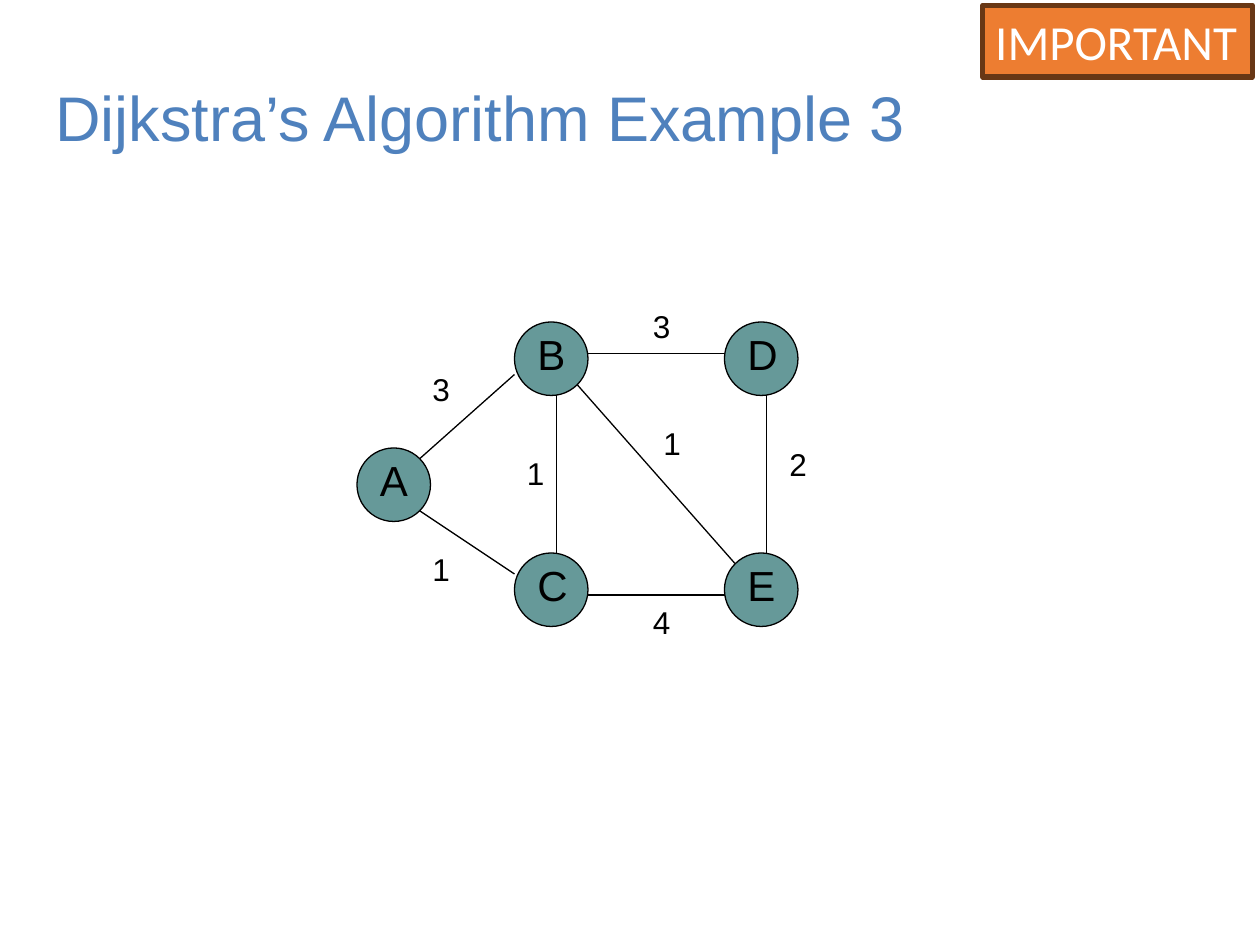
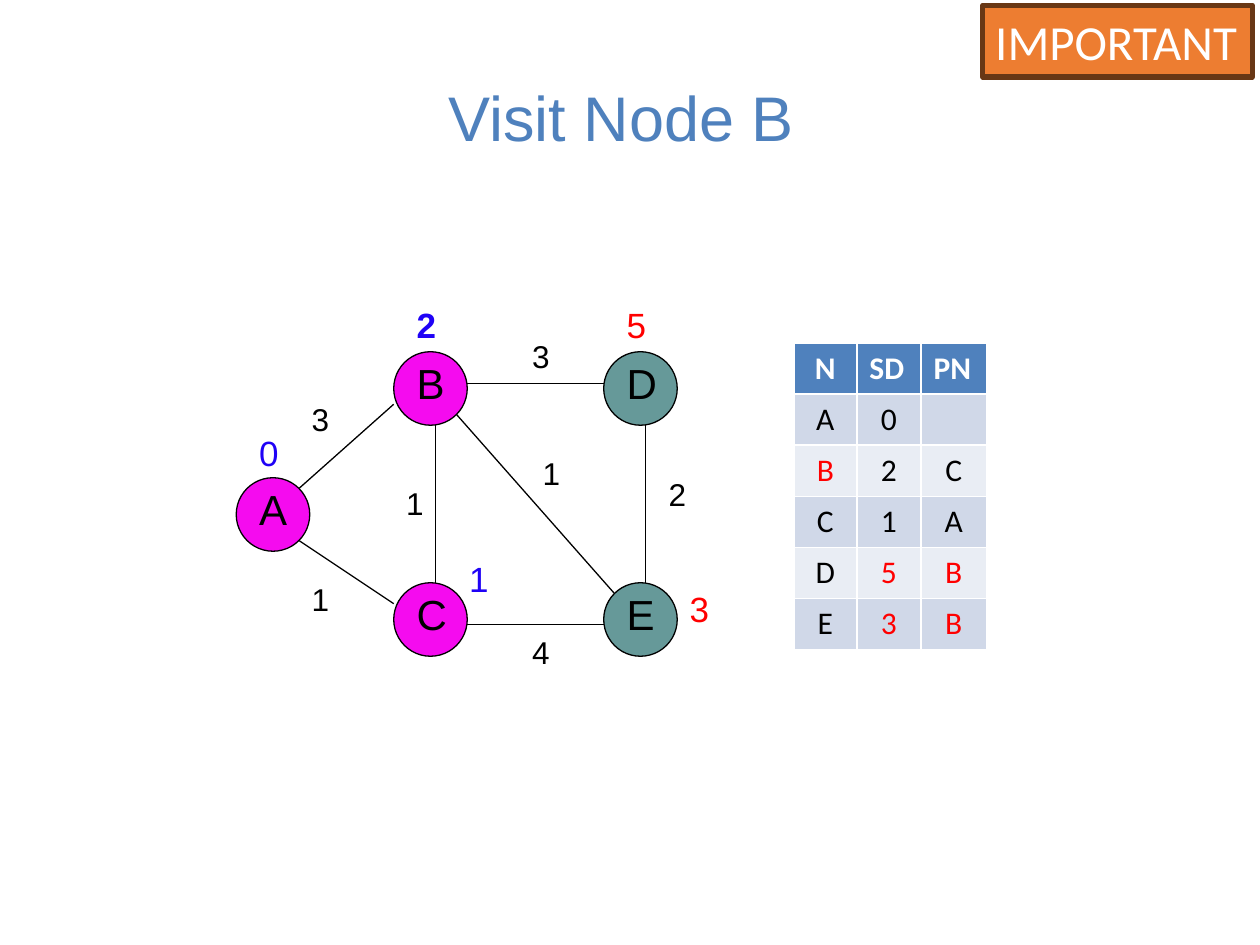
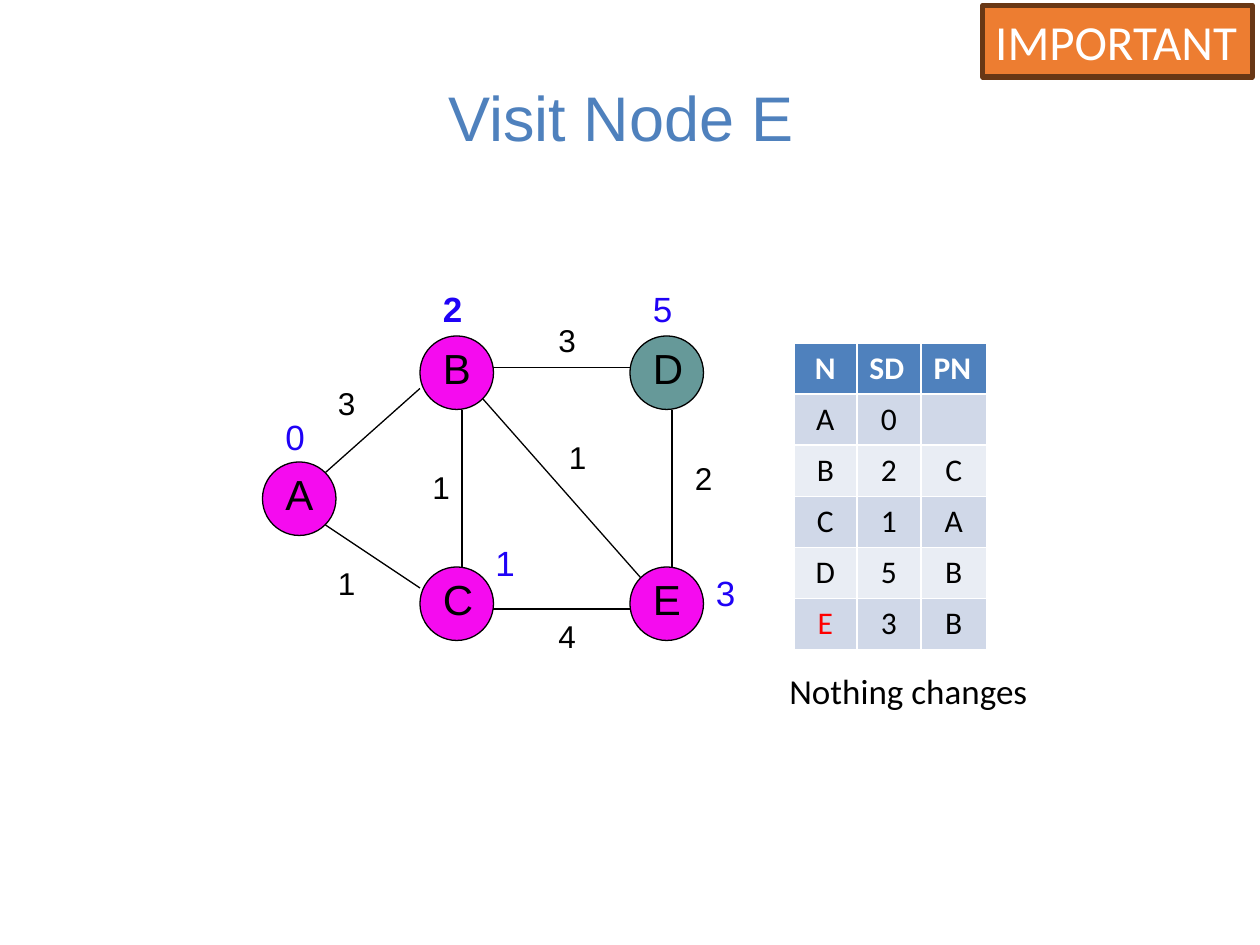
"""Build three slides that walk through a shortest-path example."""
from dataclasses import dataclass

from lxml import etree
from pptx import Presentation
from pptx.dml.color import RGBColor
from pptx.enum.shapes import MSO_CONNECTOR, MSO_SHAPE
from pptx.enum.text import MSO_ANCHOR, PP_ALIGN
from pptx.oxml.ns import qn
from pptx.util import Pt

LEFT, CENTER = PP_ALIGN.LEFT, PP_ALIGN.CENTER
TOP, MIDDLE = MSO_ANCHOR.TOP, MSO_ANCHOR.MIDDLE
OVAL, RECTANGLE = MSO_SHAPE.OVAL, MSO_SHAPE.RECTANGLE
STRAIGHT = MSO_CONNECTOR.STRAIGHT


@dataclass(frozen=True)
class Theme:
    """Colours, fonts and type sizes that the slides share."""

    ink: str = "000000"
    white: str = "FFFFFF"
    heading: str = "4F81BD"
    unvisited: str = "669999"
    visited: str = "F50BEF"
    settled: str = "1F02F6"
    changed: str = "FF0000"
    badge: str = "ED7D31"
    badge_edge: str = "683715"
    bands: tuple = ("D0D8E8", "E9EDF4")
    graph_font: str = "Arial"
    body_font: str = "Calibri"
    title_size: int = 36
    badge_size: int = 28
    node_size: int = 24
    distance_size: int = 20
    label_size: int = 18


THEME = Theme()
NODE_DIAMETER = 42
LABEL_WIDTH = 42
NODES = {"A": (0, 72), "B": (90, 0), "C": (90, 132), "E": (210, 132), "D": (210, 0)}
EDGES = [
    ((36, 78), (90, 30)),
    ((36, 108), (90, 144)),
    ((132, 156), (210, 156)),
    ((234, 132), (234, 42)),
    ((114, 132), (114, 42)),
    ((132, 18), (210, 18)),
    ((126, 36), (216, 138)),
]
WEIGHTS = [
    ("1", 36, 127), ("1", 90, 72), ("3", 36, 24), ("3", 162, -12),
    ("2", 240, 67), ("1", 168, 55), ("4", 162, 157),
]
DISTANCES = {
    "B": ("2", 96, -31), "D": ("5", 216, -31), "E": ("3", 252, 131),
    "C": ("1", 126, 114), "A": ("0", 6, 42),
}
ROUTES = [
    ("N", "SD", "PN"),
    ("A", "0", ""),
    ("B", "2", "C"),
    ("C", "1", "A"),
    ("D", "5", "B"),
    ("E", "3", "B"),
]
COLUMN_WIDTHS = (36, 36.7, 37.5)
ROW_HEIGHT = 29.2


def rgb(code):
    """Turn a hex code into a colour."""
    return RGBColor.from_string(code)


def write(frame, text, size, color, font, align=LEFT, anchor=TOP, bold=False, wrap=True):
    """Put one formatted paragraph into a text frame."""
    frame.text = text
    frame.word_wrap = wrap
    frame.vertical_anchor = anchor
    paragraph = frame.paragraphs[0]
    paragraph.alignment = align
    for run in paragraph.runs:
        run.font.size = Pt(size)
        run.font.name = font
        run.font.bold = bold
        run.font.color.rgb = rgb(color)


def add_label(shapes, box, text, size, color=THEME.ink, font=THEME.graph_font, **layout):
    """Add a text box at left, top, width, height."""
    label = shapes.add_textbox(*map(Pt, box))
    write(label.text_frame, text, size, color, font, **layout)


def add_outlined(shapes, kind, box, fill, edge, weight):
    """Add a filled and outlined preset shape."""
    shape = shapes.add_shape(kind, *map(Pt, box))
    shape.shadow.inherit = False
    shape.fill.solid()
    shape.fill.fore_color.rgb = rgb(fill)
    shape.line.color.rgb = rgb(edge)
    shape.line.width = Pt(weight)
    return shape


def add_node(shapes, letter, x, y, fill):
    """Add a graph node grouped with its letter."""
    node = shapes.add_group_shape().shapes
    circle = (x, y, NODE_DIAMETER, NODE_DIAMETER)
    add_outlined(node, OVAL, circle, fill, THEME.ink, 0.75)
    add_label(node, (x + 6, y, 36, 36), letter, THEME.node_size)


def add_edge(shapes, start, end):
    """Add a thin line between two points."""
    edge = shapes.add_connector(STRAIGHT, *map(Pt, start + end))
    edge.line.color.rgb = rgb(THEME.ink)
    edge.line.width = Pt(0.75)
    etree.SubElement(edge._element.spPr, qn("a:effectLst"))


def add_graph(shapes, origin, visited=""):
    """Draw the weighted graph with its visited nodes highlighted."""
    left, top = origin
    for letter, (x, y) in NODES.items():
        fill = THEME.visited if letter in visited else THEME.unvisited
        add_node(shapes, letter, left + x, top + y, fill)
    for (x1, y1), (x2, y2) in EDGES:
        add_edge(shapes, (left + x1, top + y1), (left + x2, top + y2))
    for weight, x, y in WEIGHTS:
        add_label(shapes, (left + x, top + y, LABEL_WIDTH, 29), weight, THEME.label_size)


def add_distances(shapes, origin, changed=""):
    """Write the current shortest distance beside each node."""
    left, top = origin
    for letter, (distance, x, y) in DISTANCES.items():
        color = THEME.changed if letter in changed else THEME.settled
        box = (left + x, top + y, LABEL_WIDTH, 31)
        add_label(shapes, box, distance, THEME.distance_size, color, bold=letter == "B")


def add_route_table(shapes, changed):
    """Add the table of distances and previous nodes, changed cells in red."""
    size = (sum(COLUMN_WIDTHS), ROW_HEIGHT * len(ROUTES))
    table = shapes.add_table(
        len(ROUTES), len(COLUMN_WIDTHS), Pt(453.6), Pt(196), *map(Pt, size)
    ).table
    for column, width in zip(table.columns, COLUMN_WIDTHS):
        column.width = Pt(width)
    for r, route in enumerate(ROUTES):
        table.rows[r].height = Pt(ROW_HEIGHT)
        header = r == 0
        for c, text in enumerate(route):
            cell = table.cell(r, c)
            cell.fill.solid()
            cell.fill.fore_color.rgb = rgb(THEME.heading if header else THEME.bands[(r - 1) % 2])
            color = THEME.changed if (r, c) in changed else THEME.ink
            write(
                cell.text_frame, text, THEME.label_size,
                THEME.white if header else color, THEME.body_font,
                align=LEFT if header and c else CENTER, bold=header,
            )


def add_titled_slide(deck, title, left=36, width=648):
    """Add a blank slide with the shared title style and badge."""
    shapes = deck.slides.add_slide(deck.slide_layouts[6]).shapes
    add_label(
        shapes, (left, 21.6, width, 90), title, THEME.title_size, THEME.heading,
        align=CENTER, anchor=MIDDLE,
    )
    badge = add_outlined(
        shapes, RECTANGLE, (561.6, 3, 154, 41), THEME.badge, THEME.badge_edge, 3
    )
    write(
        badge.text_frame, "IMPORTANT", THEME.badge_size, THEME.white,
        THEME.body_font, wrap=False,
    )
    return shapes


def add_visit_slide(deck, node, origin, visited, changed_nodes, changed_cells):
    """Add a slide for one visit step and return its shapes."""
    shapes = add_titled_slide(deck, f"Visit Node {node} ")
    add_route_table(shapes, changed_cells)
    add_graph(shapes, origin, visited)
    add_distances(shapes, origin, changed_nodes)
    return shapes


def main():
    """Build and save the deck."""
    deck = Presentation()
    deck.slide_width, deck.slide_height = Pt(720), Pt(540)

    shapes = add_titled_slide(deck, "Dijkstra’s Algorithm Example 3", 2, 545)
    add_graph(shapes, (204, 184))

    changed_by_b = {(2, 0), (4, 1), (4, 2), (5, 1), (5, 2)}
    add_visit_slide(deck, "B", (135, 201), "ABC", "DE", changed_by_b)

    shapes = add_visit_slide(deck, "E", (150, 192), "ABCE", "", {(5, 0)})
    add_label(
        shapes, (444, 379, 152, 31.5), "Nothing changes", THEME.distance_size,
        font=THEME.body_font, wrap=False,
    )
    deck.save("out.pptx")


if __name__ == "__main__":
    main()
